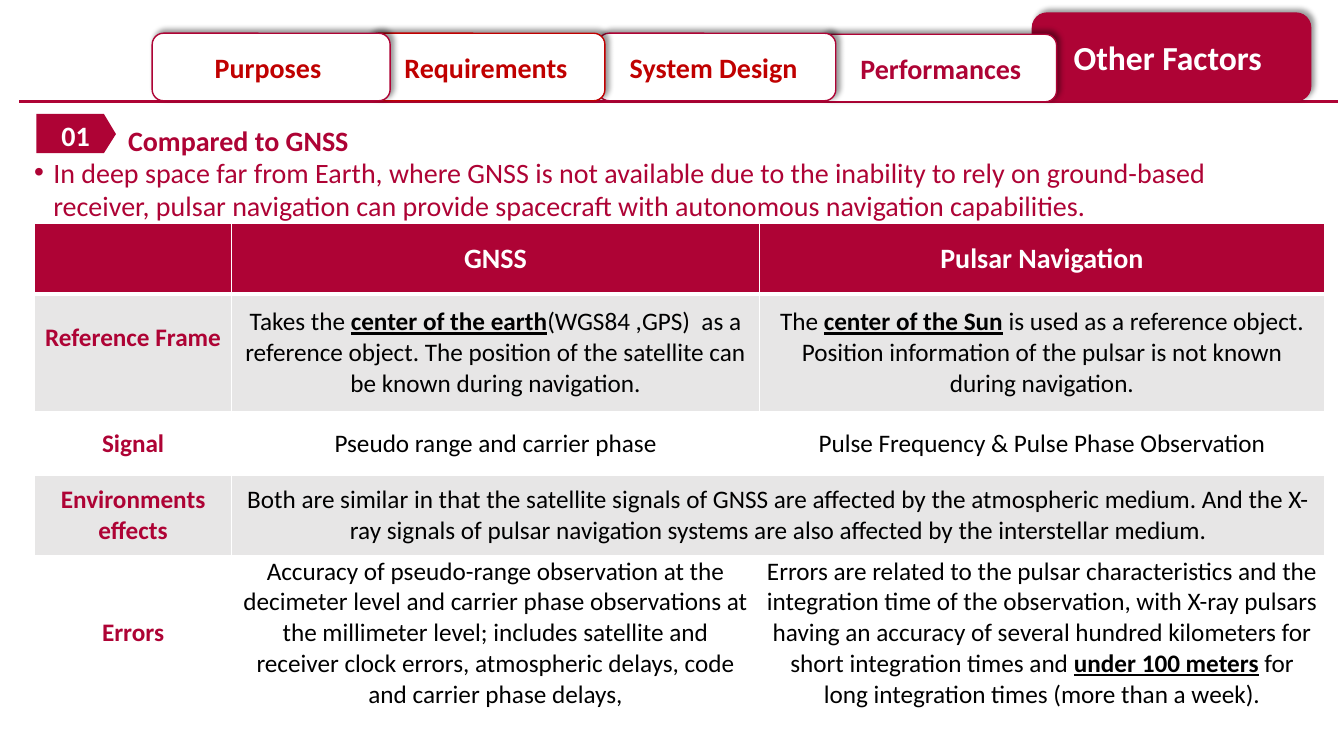
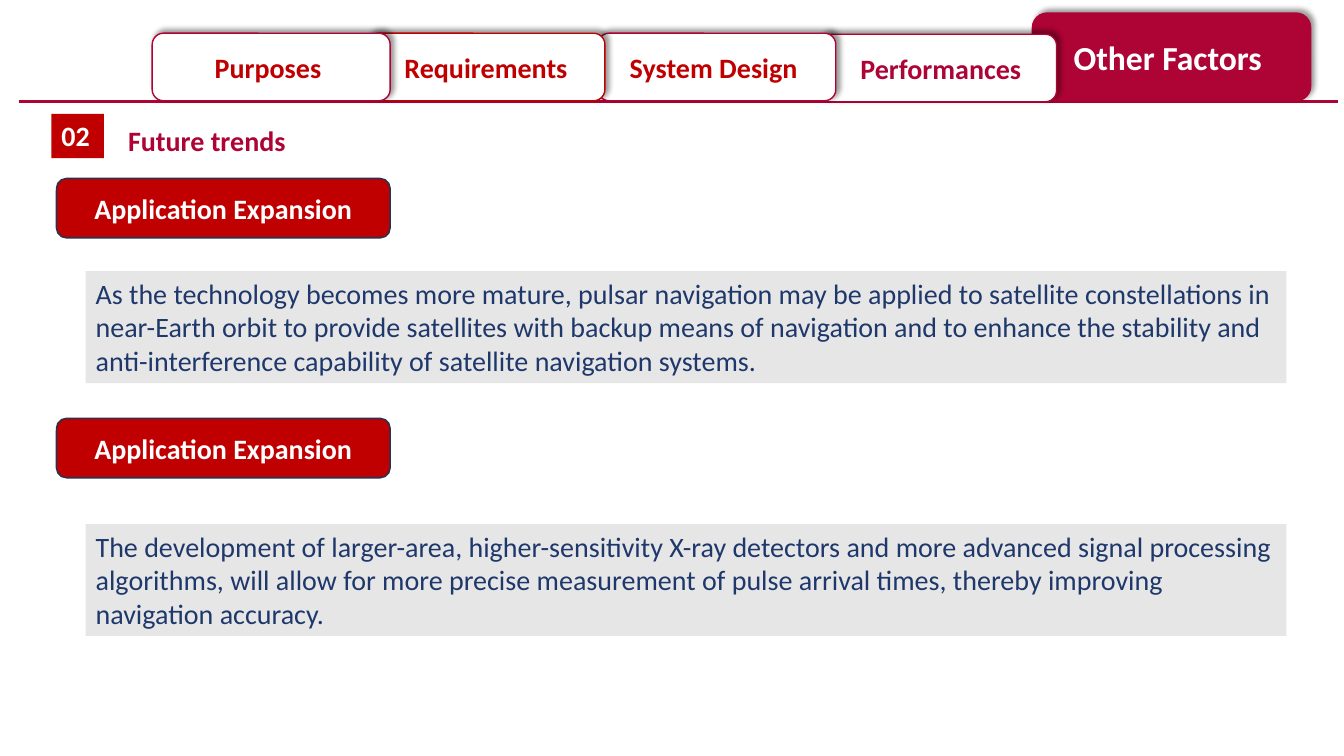
"""Build two slides on pulsar navigation: GNSS comparison and future trends."""
from dataclasses import dataclass
from typing import Optional

import lxml.etree
import pptx
import pptx.dml.color
import pptx.enum.shapes
import pptx.enum.text
import pptx.oxml
import pptx.oxml.ns
import pptx.shapes.autoshape
import pptx.slide
import pptx.table
import pptx.text.text
import pptx.util
from pptx.util import Inches

COLORS = {
    "crimson": "AE0335",
    "red": "C00000",
    "white": "FFFFFF",
    "gray": "E7E6E6",
    "black": "000000",
    "navy": "1E386B",
    "outline": "203359",
}
FONT = "Calibri"
SHAPE = pptx.enum.shapes.MSO_SHAPE
ALIGN = pptx.enum.text.PP_ALIGN
ANCHOR = pptx.enum.text.MSO_ANCHOR
AUTO = pptx.enum.text.MSO_AUTO_SIZE
qn = pptx.oxml.ns.qn


@dataclass
class Run:
    text: str
    size: float = 20
    color: str = "crimson"
    bold: bool = False
    underline: bool = False


@dataclass
class Box:
    left: float
    top: float
    width: float
    height: float


@dataclass
class Tab:
    text: str
    box: Box
    size: float = 20
    color: str = "red"
    fill: str = "white"
    line: str = "crimson"


@dataclass
class Trend:
    heading: str
    heading_top: float
    text: str
    text_top: float


TABS = [
    Tab("Other Factors ", Box(10.24, 0.13, 2.76, 0.87), 24, "white", "crimson"),
    Tab(" Performances", Box(8.12, 0.34, 2.36, 0.67), color="crimson"),
    Tab("System Design ", Box(5.93, 0.33, 2.36, 0.67)),
    Tab("Requirements", Box(3.64, 0.33, 2.36, 0.67), line="red"),
    Tab("Purposes ", Box(1.51, 0.33, 2.36, 0.67)),
]
NUMBER_BOX = Box(0.51, 1.13, 0.52, 0.44)

COLUMN_WIDTHS = [1.96, 5.23, 5.61]
ROW_HEIGHTS = [0.7, 1.16, 0.64, 0.79, 1.54]


def label(text: str) -> list[Run]:
    return [Run(text, 18, bold=True)]


def heading(text: str) -> list[Run]:
    return [Run(text, 20, "white", True)]


def body(before: str, key: str = "", after: str = "") -> list[Run]:
    runs = [Run(before, 18, "black")]
    if key:
        runs += [Run(key, 18, "black", True, True), Run(after, 18, "black")]
    return runs


COMPARISON = [
    [[], heading("GNSS"), heading("Pulsar Navigation")],
    [
        label("Reference Frame"),
        body("Takes the ", "center of the earth",
             "(WGS84 ,GPS)  as a reference object. The position of the satellite "
             "can be known during navigation."),
        body("The ", "center of the Sun",
             " is used as a reference object. Position information of the pulsar "
             "is not known during navigation."),
    ],
    [
        label("Signal"),
        body("Pseudo range and carrier phase"),
        body("Pulse Frequency & Pulse Phase Observation"),
    ],
    [
        label("Environments effects"),
        body("Both are similar in that the satellite signals of GNSS are affected "
             "by the atmospheric medium. And the X-ray signals of pulsar navigation "
             "systems are also affected by the interstellar medium."),
    ],
    [
        label("Errors"),
        body("Accuracy of pseudo-range observation at the decimeter level and "
             "carrier phase observations at the millimeter level; includes satellite "
             "and receiver clock errors, atmospheric delays, code and carrier phase "
             "delays,"),
        body("Errors are related to the pulsar characteristics and the integration "
             "time of the observation, with X-ray pulsars having an accuracy of "
             "several hundred kilometers for short integration times and ",
             "under 100 meters",
             " for long integration times (more than a week)."),
    ],
]
TRENDS = [
    Trend("Application Expansion", 1.77,
          "As the technology becomes more mature, pulsar navigation may be applied "
          "to satellite constellations in near-Earth orbit to provide satellites "
          "with backup means of navigation and to enhance the stability and "
          "anti-interference capability of satellite navigation systems.", 2.69),
    Trend("Application Expansion", 4.15,
          "The development of larger-area, higher-sensitivity X-ray detectors and "
          "more advanced signal processing algorithms, will allow for more precise "
          "measurement of pulse arrival times, thereby improving navigation "
          "accuracy.", 5.2),
]


def rgb(name: str) -> pptx.dml.color.RGBColor:
    return pptx.dml.color.RGBColor.from_string(COLORS[name])


def lengths(box: Box) -> list[pptx.util.Length]:
    return [Inches(v) for v in (box.left, box.top, box.width, box.height)]


def write(tf: pptx.text.text.TextFrame, runs: list[Run],
          align: ALIGN = ALIGN.LEFT, anchor: ANCHOR = ANCHOR.TOP) -> None:
    tf.word_wrap = True
    tf.auto_size = AUTO.NONE
    tf.vertical_anchor = anchor
    add_runs(tf.paragraphs[0], runs, align)


def add_runs(p: pptx.text.text._Paragraph, runs: list[Run], align: ALIGN) -> None:
    p.alignment = align
    for run in runs:
        r = p.add_run()
        r.text = run.text
        r.font.name = FONT
        r.font.size = pptx.util.Pt(run.size)
        r.font.bold = run.bold
        r.font.underline = run.underline
        r.font.color.rgb = rgb(run.color)


def paint(sp: pptx.shapes.autoshape.Shape, fill: str,
          line: Optional[str] = None) -> None:
    sp.shadow.inherit = False
    sp.fill.solid()
    sp.fill.fore_color.rgb = rgb(fill)
    if line:
        sp.line.color.rgb = rgb(line)
        sp.line.width = pptx.util.Pt(1)
    else:
        sp.line.fill.background()


def add_panel(s: pptx.slide.Slide, kind: SHAPE, box: Box, fill: str,
              line: Optional[str] = None) -> pptx.shapes.autoshape.Shape:
    sp = s.shapes.add_shape(kind, *lengths(box))
    paint(sp, fill, line)
    return sp


def add_shadow(sp: pptx.shapes.autoshape.Shape) -> None:
    effects = sp._element.spPr.find(qn("a:effectLst"))
    shadow = lxml.etree.SubElement(
        effects, qn("a:outerShdw"), blurRad=str(pptx.util.Pt(4)),
        dist=str(pptx.util.Pt(3)), dir=str(315 * 60000), algn="bl", rotWithShape="0")
    color = lxml.etree.SubElement(shadow, qn("a:srgbClr"), val=COLORS["black"])
    lxml.etree.SubElement(color, qn("a:alpha"), val="40000")


def add_section(prs: pptx.presentation.Presentation, title: str) -> pptx.slide.Slide:
    s = prs.slides.add_slide(prs.slide_layouts[5])
    rule = s.shapes.add_connector(
        pptx.enum.shapes.MSO_CONNECTOR.STRAIGHT,
        Inches(0.19), Inches(1.01), Inches(13.27), Inches(1.01))
    rule.line.color.rgb = rgb("crimson")
    rule.line.width = pptx.util.Pt(2.25)
    lxml.etree.SubElement(rule._element.spPr, qn("a:effectLst"))
    for tab in TABS:
        sp = add_panel(s, SHAPE.ROUNDED_RECTANGLE, tab.box, tab.fill, tab.line)
        add_shadow(sp)
        write(sp.text_frame, [Run(tab.text, tab.size, tab.color, True)],
              ALIGN.CENTER, ANCHOR.MIDDLE)
    sp = s.shapes.title
    sp.left, sp.top, sp.width, sp.height = lengths(Box(1.17, 1.17, 11.37, 0.44))
    write(sp.text_frame, [Run(title, bold=True)])
    return s


def add_borders(cell: pptx.table._Cell, is_header: bool) -> None:
    tcPr = cell._tc.get_or_add_tcPr()
    for i, side in enumerate("LRTB"):
        width = 3 if is_header and side == "B" else 1
        ln = lxml.etree.Element(qn(f"a:ln{side}"), w=str(pptx.util.Pt(width)))
        fill = lxml.etree.SubElement(ln, qn("a:solidFill"))
        lxml.etree.SubElement(fill, qn("a:srgbClr"), val=COLORS["white"])
        tcPr.insert(i, ln)


def add_comparison(s: pptx.slide.Slide) -> None:
    box = Box(0.34, 2.22, sum(COLUMN_WIDTHS), sum(ROW_HEIGHTS))
    table = s.shapes.add_table(len(ROW_HEIGHTS), len(COLUMN_WIDTHS), *lengths(box)).table
    for column, width in zip(table.columns, COLUMN_WIDTHS):
        column.width = Inches(width)
    for i, (row, height) in enumerate(zip(table.rows, ROW_HEIGHTS)):
        row.height = Inches(height)
        for cell in row.cells:
            if i % 2 or i == 0:
                cell.fill.solid()
                cell.fill.fore_color.rgb = rgb("gray" if i else "crimson")
            else:
                cell.fill.background()
            add_borders(cell, i == 0)
            cell.vertical_anchor = ANCHOR.MIDDLE
            cell.margin_left = cell.margin_right = Inches(0.07)
            cell.margin_top = cell.margin_bottom = 0
        for cell, runs in zip(row.cells, COMPARISON[i]):
            add_runs(cell.text_frame.paragraphs[0], runs, ALIGN.CENTER)
    table.cell(1, 0).margin_bottom = Inches(0.3)
    table.cell(3, 1).merge(table.cell(3, 2))


def add_gnss_slide(prs: pptx.presentation.Presentation) -> None:
    s = add_section(prs, "Compared to GNSS")
    outline = [(0.36, 1.13), (1.03, 1.13), (1.15, 1.33), (1.03, 1.52), (0.36, 1.52)]
    points = [(Inches(x), Inches(y)) for x, y in outline]
    builder = s.shapes.build_freeform(*points[0])
    builder.add_line_segments(points[1:])
    paint(builder.convert_to_shape(), "crimson")
    write(s.shapes.add_textbox(*lengths(NUMBER_BOX)).text_frame, heading("01"))
    tf = s.shapes.add_textbox(*lengths(Box(0.24, 1.49, 12.84, 0.77))).text_frame
    write(tf, [Run("In deep space far from Earth, where GNSS is not available due to "
                   "the inability to rely on ground-based receiver, pulsar navigation "
                   "can provide spacecraft with autonomous navigation capabilities.")])
    pPr = tf.paragraphs[0]._p.get_or_add_pPr()
    pPr.set("marL", str(Inches(0.19)))
    pPr.set("indent", str(-Inches(0.19)))
    lxml.etree.SubElement(pPr, qn("a:buFont"), typeface="Arial")
    lxml.etree.SubElement(pPr, qn("a:buChar"), char="•")
    add_comparison(s)


def add_trends_slide(prs: pptx.presentation.Presentation) -> None:
    s = add_section(prs, "Future trends")
    sp = add_panel(s, SHAPE.RECTANGLE, NUMBER_BOX, "red")
    write(sp.text_frame, heading("02"))
    for trend in TRENDS:
        sp = add_panel(s, SHAPE.ROUNDED_RECTANGLE,
                       Box(0.56, trend.heading_top, 3.31, 0.59), "red", "outline")
        write(sp.text_frame, heading(trend.heading), ALIGN.CENTER, ANCHOR.MIDDLE)
        sp = add_panel(s, SHAPE.RECTANGLE, Box(0.85, trend.text_top, 11.91, 1.11), "gray")
        write(sp.text_frame, [Run(trend.text, color="navy")])


def main() -> None:
    prs = pptx.Presentation()
    prs.slide_width, prs.slide_height = Inches(13.33), Inches(7.5)
    add_gnss_slide(prs)
    add_trends_slide(prs)
    prs.save("out.pptx")


if __name__ == "__main__":
    main()
